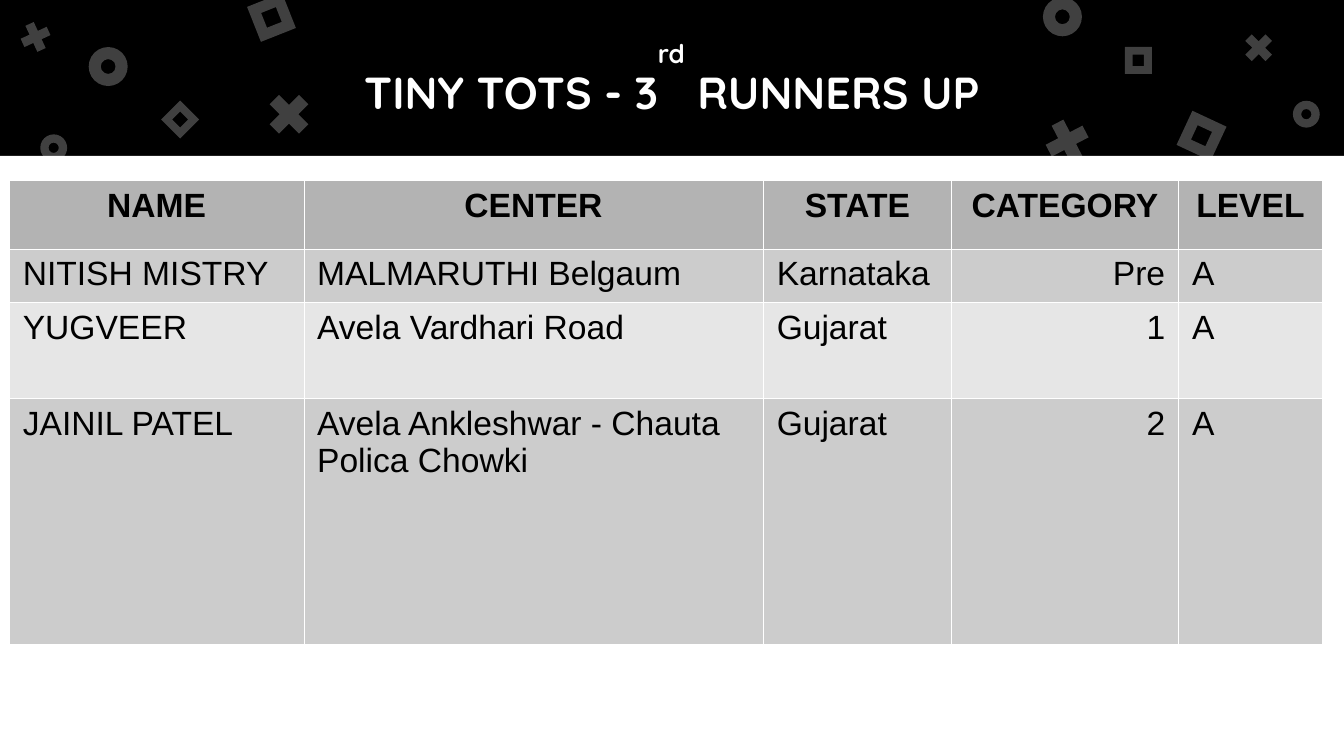
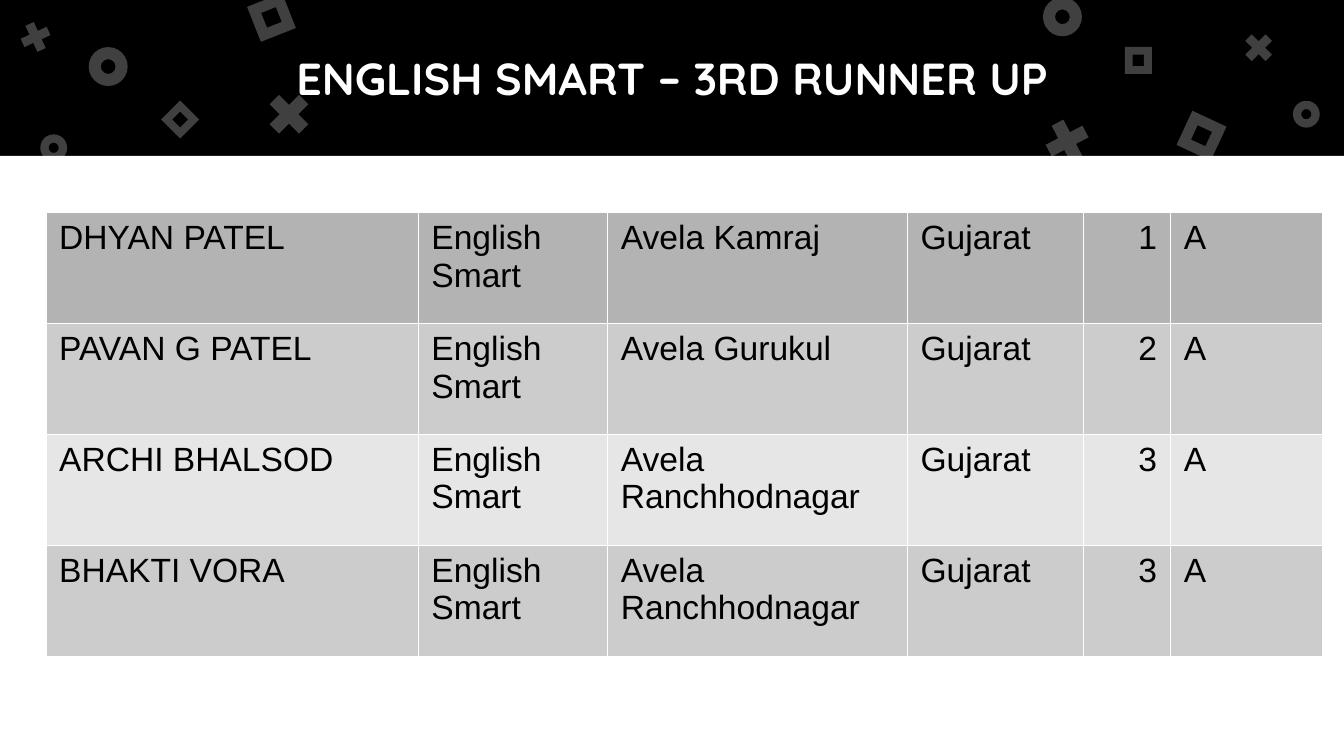
"""Builds two award slides with a patterned title band and a results table."""
from lxml.etree import SubElement as Sub
from pptx import Presentation
from pptx.dml.color import RGBColor as Rgb
from pptx.enum.shapes import MSO_SHAPE as Kind
from pptx.enum.text import MSO_ANCHOR as Anchor, PP_ALIGN as Align
from pptx.oxml.ns import qn
from pptx.util import Inches, Pt

WIDE, BAND = 10, 1.16
HIGH = WIDE * 9 / 16
INK, PAPER, BACK = "000000", "FFFFFF", "7BD100"
HEAD, DARK, PALE = "B3B3B3", "CCCCCC", "E6E6E6"
LOOK = {"title": {"name": "Quicksand", "size": Pt(24), "bold": True, "color": PAPER},
        "head": {"name": "Arial", "size": Pt(18), "bold": True, "color": INK},
        "body": {"name": "Arial", "size": Pt(18), "bold": False, "color": INK}}

RING, CROSS, FRAME = (Kind.DONUT, 0.31), (Kind.MATH_MULTIPLY, 0.235), (Kind.FRAME, 0.289)
DECOR = [
    (RING, 0.66, 0.35, 0.29, 0), (CROSS, 1.94, 0.64, 0.42, 0),
    (FRAME, 1.88, -0.01, 0.28, 338.4), (RING, 7.76, -0.02, 0.29, 0),
    (CROSS, 7.73, 0.84, 0.42, 17.5), (FRAME, 8.8, 0.87, 0.28, 25),
    (RING, 0.3, 1, 0.2, 0), (CROSS, 0.12, 0.13, 0.29, 20.4),
    (FRAME, 1.24, 0.79, 0.2, 45), (RING, 9.62, 0.75, 0.2, 0),
    (CROSS, 9.22, 0.21, 0.29, 0), (FRAME, 8.37, 0.35, 0.2, 0),
]

SLIDES = [
    {"title": [("TINY TOTS - 3", 0), ("rd", 101), (" RUNNERS UP", 0)],
     "at": (0.07, 1.34), "head": True, "right": 3,
     "cols": [2.19, 3.42, 1.4, 1.69, 1.07], "rows": [0.51, 0.38, 0.71, 1.83],
     "cells": [
         ("NAME", "CENTER", "STATE", "CATEGORY", "LEVEL"),
         ("NITISH MISTRY", "MALMARUTHI Belgaum", "Karnataka", "Pre", "A"),
         ("YUGVEER", "Avela Vardhari Road", "Gujarat", "1", "A"),
         ("JAINIL PATEL", "Avela Ankleshwar - Chauta Polica Chowki", "Gujarat", "2", "A")]},
    {"title": [("ENGLISH SMART – 3RD RUNNER UP", 0)],
     "at": (0.34, 1.58), "head": False, "right": 4,
     "cols": [2.77, 1.41, 2.23, 1.31, 0.65, 1.13], "rows": [3.3 / 4] * 4,
     "cells": [
         ("DHYAN PATEL", "English Smart", "Avela Kamraj", "Gujarat", "1", "A"),
         ("PAVAN G PATEL", "English Smart", "Avela Gurukul", "Gujarat", "2", "A"),
         ("ARCHI BHALSOD", "English Smart", "Avela Ranchhodnagar", "Gujarat", "3", "A"),
         ("BHAKTI VORA", "English Smart", "Avela Ranchhodnagar", "Gujarat", "3", "A")]},
]


def paint(fill, tone, alpha=None):
    fill.solid()
    fill.fore_color.rgb = Rgb.from_string(tone)
    if alpha:
        node = fill._xPr.find(qn("a:solidFill"))[0]
        Sub(node, qn("a:alpha"), val=str(alpha * 1000))


def style(font, look):
    for key, val in look.items():
        if key == "color":
            paint(font.fill, val)
        else:
            setattr(font, key, val)


def shape(slide, kind, box, tone, alpha=None):
    item = slide.shapes.add_shape(kind, *map(Inches, box))
    item.shadow.inherit = False
    item.line.fill.background()
    paint(item.fill, tone, alpha)
    return item


def band(slide):
    paint(slide.background.fill, BACK)
    shape(slide, Kind.RECTANGLE, (0, 0, WIDE, BAND), INK)
    shape(slide, Kind.RECTANGLE, (0, BAND, WIDE, HIGH - BAND), PAPER)
    for (kind, adj), left, top, size, turn in DECOR:
        item = shape(slide, kind, (left, top, size, size), PAPER, 25)
        item.rotation = turn
        item.adjustments[0] = adj


def title(slide, runs):
    frame = slide.shapes.add_textbox(*map(Inches, (0.5, 0, 9, BAND))).text_frame
    frame.word_wrap = True
    frame.vertical_anchor = Anchor.MIDDLE
    for side in ("left", "right", "top", "bottom"):
        setattr(frame, "margin_" + side, Inches(0.1))
    para = frame.paragraphs[0]
    para.alignment = Align.CENTER
    for text, base in runs:
        run = para.add_run()
        run.text = text
        style(run.font, LOOK["title"])
        if base:
            run._r.get_or_add_rPr().set("baseline", str(base * 1000))


def edge(cell):
    props = cell._tc.get_or_add_tcPr()
    for tag in ("a:lnL", "a:lnR", "a:lnT", "a:lnB"):
        line = Sub(props, qn(tag), w=str(Pt(0.06)))
        Sub(Sub(line, qn("a:solidFill")), qn("a:srgbClr"), val=PAPER)


def write(cell, text, look, align):
    para = cell.text_frame.paragraphs[0]
    para.alignment = align
    run = para.add_run()
    run.text = text
    style(run.font, look)
    end = Sub(para._p, qn("a:endParaRPr"), sz=str(int(look["size"].pt * 100)))
    Sub(end, qn("a:latin"), typeface=look["name"])


def table(slide, data):
    cols, rows = data["cols"], data["rows"]
    box = map(Inches, (*data["at"], sum(cols), sum(rows)))
    grid = slide.shapes.add_table(len(rows), len(cols), *box).table
    grid.first_row = grid.horz_banding = False
    for col, size in zip(grid.columns, cols):
        col.width = Inches(size)
    for r, (row, size) in enumerate(zip(grid.rows, rows)):
        row.height = Inches(size)
        head = data["head"] and r == 0
        tone = HEAD if r == 0 else (PALE, DARK)[r % 2]
        for c, (cell, text) in enumerate(zip(row.cells, data["cells"][r])):
            edge(cell)
            paint(cell.fill, tone)
            side = Align.RIGHT if c == data["right"] else Align.LEFT
            write(cell, text, LOOK["head" if head else "body"],
                  Align.CENTER if head else side)


def main():
    deck = Presentation()
    deck.slide_width, deck.slide_height = Inches(WIDE), Inches(HIGH)
    for data in SLIDES:
        slide = deck.slides.add_slide(deck.slide_layouts[6])
        band(slide)
        title(slide, data["title"])
        table(slide, data)
    deck.save("out.pptx")


if __name__ == "__main__":
    main()
